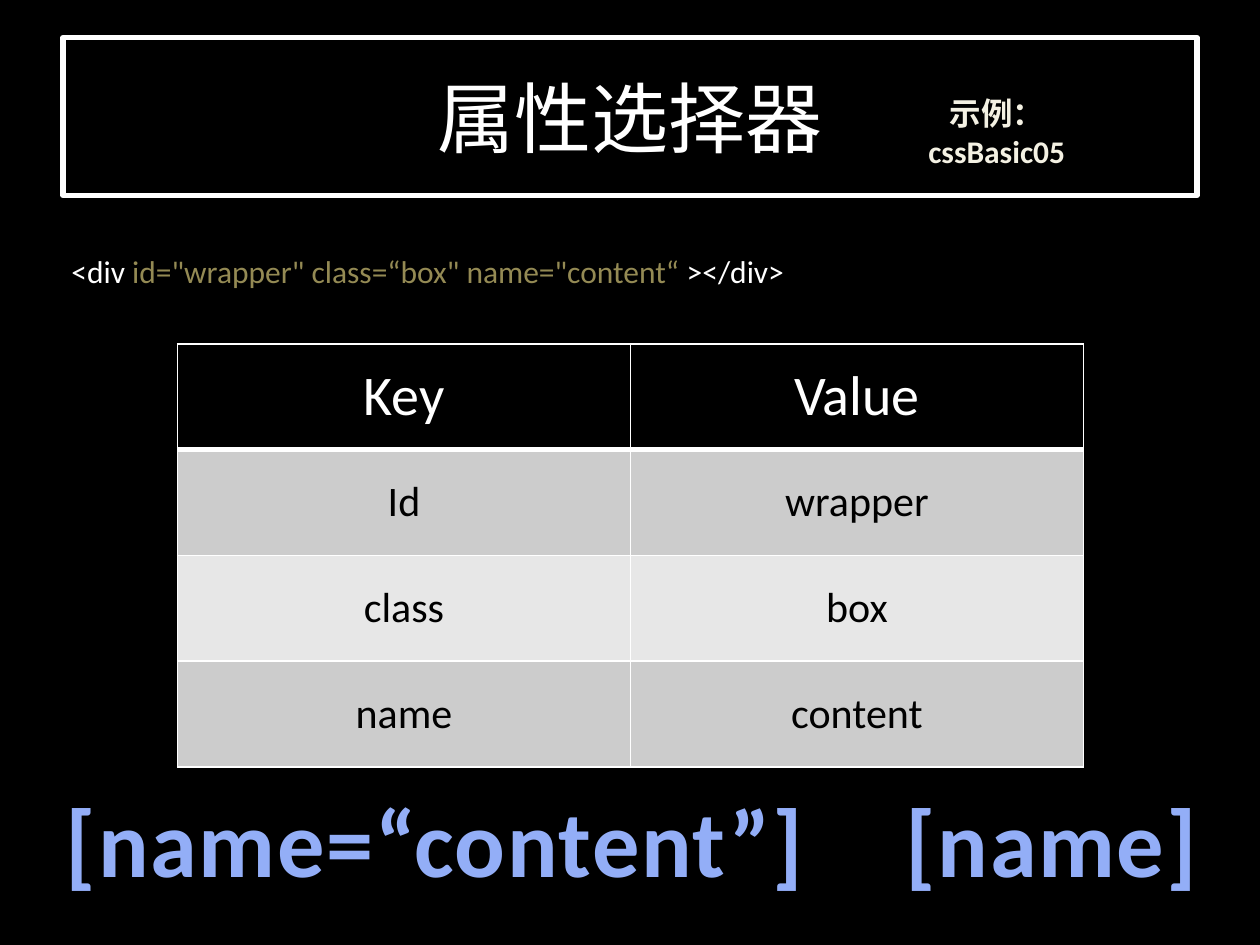
"""Build a slide on CSS attribute selectors."""
from dataclasses import dataclass
from lxml.etree import SubElement as Sub
from pptx import Presentation
from pptx.dml.color import RGBColor as RGB
from pptx.enum.shapes import MSO_SHAPE as Kind
from pptx.enum.text import MSO_ANCHOR as Anchor, PP_ALIGN as Align
from pptx.oxml.ns import qn
from pptx.util import Cm, Pt


@dataclass(frozen=True)
class Theme:
    font: str = "Calibri"
    black: str = "000000"
    white: str = "FFFFFF"
    olive: str = "948A54"
    cream: str = "F4F1E3"
    blue: str = "93AEF7"
    bands: tuple = ("CCCCCC", "E7E7E7")
    title: int = 44
    head: int = 32
    cell: int = 24
    text: int = 18
    big: int = 54


T = Theme()
TITLE = "属性选择器"
NOTE = "示例：cssBasic05"
CODE = [
    ("<div ", T.white),
    ('id="wrapper" class=“box" name="content“ ', T.olive),
    ("></div>", T.white),
]
ROWS = [("Key", "Value"), ("Id", "wrapper"), ("class", "box"), ("name", "content")]
PICKS = [("[name=“content”]", 0.99, 15.57, False), ("[name]", 17.6, 7.19, True)]


def write(frame, runs, size, bold=False, align=Align.CENTER, gap=0):
    para = frame.paragraphs[0]
    para.alignment = align
    for text, color in runs:
        run = para.add_run()
        run.text = text
        font = run.font
        font.name, font.size, font.bold = T.font, Pt(size), bold
        font.color.rgb = RGB.from_string(color)
        if gap:
            font._element.set("spc", str(gap))


def label(box, runs, size, wrap=True, inset=0.25, **style):
    frame = slide.shapes.add_textbox(*map(Cm, box)).text_frame
    frame.word_wrap = wrap
    frame.margin_left = frame.margin_right = Cm(inset)
    write(frame, runs, size, **style)


def paint(fill, color):
    fill.solid()
    fill.fore_color.rgb = RGB.from_string(color)


def border(cell, base):
    props = cell._tc.get_or_add_tcPr()
    for spot, (side, width) in enumerate(zip("LRTB", (1, 1, 1, base))):
        line = props.makeelement(qn(f"a:ln{side}"), {"w": str(Pt(width))})
        Sub(Sub(line, qn("a:solidFill")), qn("a:srgbClr")).set("val", T.white)
        props.insert(spot, line)


deck = Presentation()
deck.slide_width, deck.slide_height = Cm(25.4), Cm(19.05)
slide = deck.slides.add_slide(deck.slide_layouts[6])
paint(slide.background.fill, T.black)

banner = slide.shapes.add_shape(Kind.RECTANGLE, *map(Cm, (1.27, 0.76, 22.86, 3.18)))
banner.shadow.inherit = False
paint(banner.fill, T.black)
paint(banner.line.fill, T.white)
banner.line.width = Pt(3)
banner.text_frame.vertical_anchor = Anchor.MIDDLE
write(banner.text_frame, [(TITLE, T.white)], T.title)

label((1.19, 4.95, 17.27, 1.02), CODE, T.text, align=Align.LEFT)

place = map(Cm, (3.58, 6.93, 18.26, 8.53))
grid = slide.shapes.add_table(len(ROWS), len(ROWS[0]), *place).table
for r, row in enumerate(ROWS):
    head = r == 0
    for c, text in enumerate(row):
        cell = grid.cell(r, c)
        cell.vertical_anchor = Anchor.MIDDLE
        paint(cell.fill, T.black if head else T.bands[(r - 1) % 2])
        border(cell, 3 if head else 1)
        color, size = (T.white, T.head) if head else (T.black, T.cell)
        write(cell.text_frame, [(text, color)], size)

for text, left, width, wrap in PICKS:
    label((left, 15.67, width, 2.57), [(text, T.blue)], T.big, wrap, bold=True, gap=100)

label((17.48, 1.78, 5.23, 1.02), [(NOTE, T.cream)], T.text, inset=0.75, bold=True)

deck.save("out.pptx")
